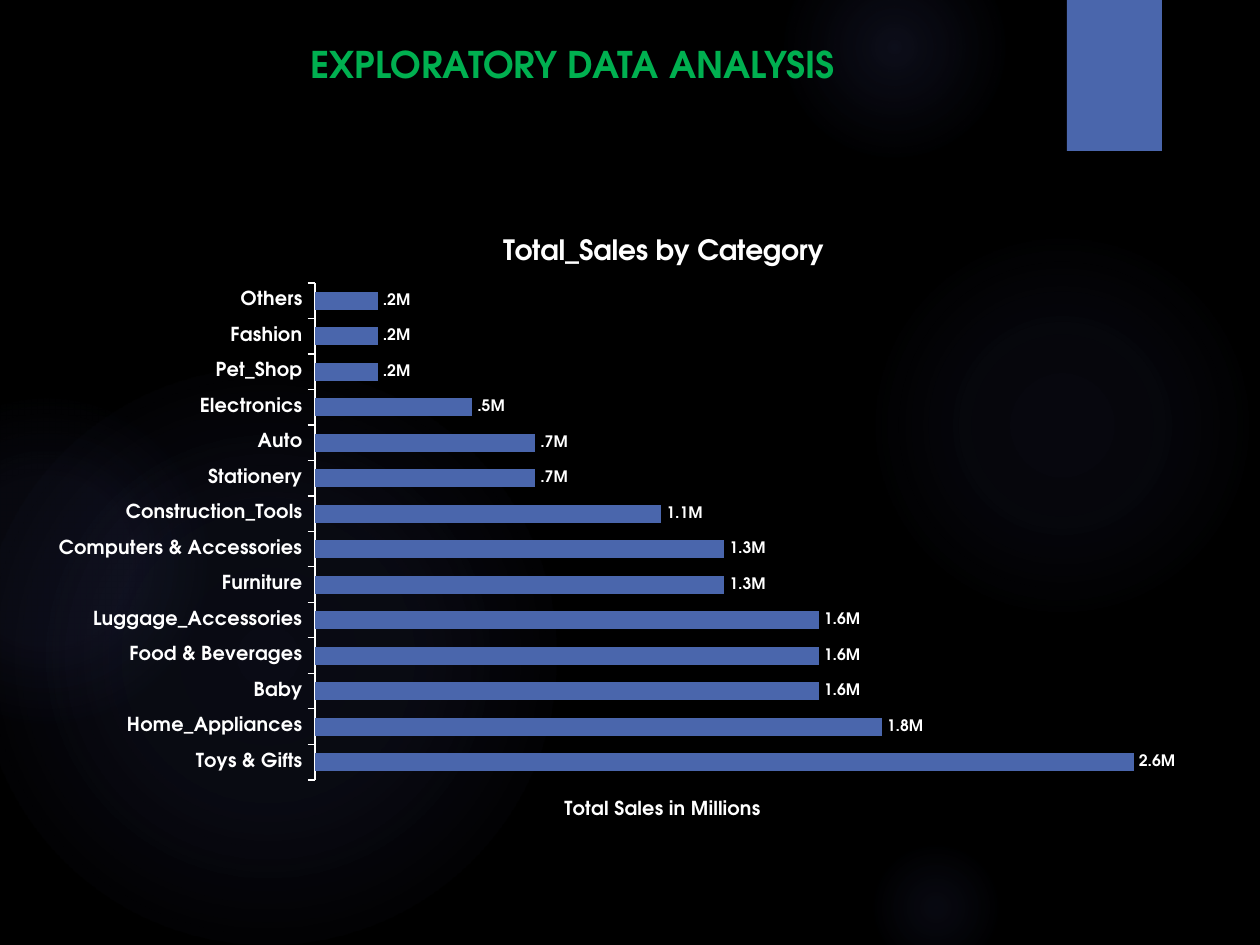
"""Build the Exploratory Data Analysis slide with its sales bar chart."""
from pptx import Presentation
from pptx.chart.data import CategoryChartData
from pptx.dml.color import RGBColor
from pptx.enum.chart import XL_CHART_TYPE, XL_LABEL_POSITION, XL_TICK_LABEL_POSITION, XL_TICK_MARK
from pptx.enum.shapes import MSO_SHAPE
from pptx.enum.text import MSO_ANCHOR, MSO_AUTO_SIZE, PP_ALIGN
from pptx.oxml import parse_xml
from pptx.oxml.ns import nsdecls, qn
from pptx.util import Emu, Pt

FONT = "TeX Gyre Adventor"
COLORS = {"bg": "000000", "glow": "5C64B7", "blue": "4A66AC", "green": "00B050", "white": "FFFFFF"}
RGB = {name: RGBColor.from_string(value) for name, value in COLORS.items()}
CHART_BOX = (34, 212, 1250, 634)


def px(*values):
    return [Emu(round(v * 914400 / 126)) for v in values]


def set_layout(parent, index, x, y, w=None, h=None):
    left, top, width, height = CHART_BOX
    for old in parent.findall(qn("c:layout")):
        parent.remove(old)
    target = '<c:layoutTarget val="inner"/>' if w else ""
    items = [("xMode", "edge"), ("yMode", "edge"),
             ("x", round((x - left) / width, 4)), ("y", round((y - top) / height, 4))]
    if w:
        items += [("w", round(w / width, 4)), ("h", round(h / height, 4))]
    body = "".join(f'<c:{tag} val="{value}"/>' for tag, value in items)
    parent.insert(index, parse_xml(
        f'<c:layout {nsdecls("c")}><c:manualLayout>{target}{body}</c:manualLayout></c:layout>'))


prs = Presentation()
prs.slide_width, prs.slide_height = px(1260, 945)
s = prs.slides.add_slide(prs.slide_layouts[6])
s.background.fill.solid()
s.background.fill.fore_color.rgb = RGB["bg"]

glows = [
    (868, 231, 388, 7, 6, 69),
    (784, -63, 221, 14, 7, 73),
    (868, 840, 136, 9, 5, 66),
    (-21, 368, 577, 11, 10, 75),
    (-116, 399, 325, 8, 8, 72),
]
for x, y, size, center, middle, edge in glows:
    sp = s.shapes.add_shape(MSO_SHAPE.OVAL, *px(x, y, size, size))
    sp.shadow.inherit = False
    sp.line.fill.background()
    sp.fill.background()
    stops = "".join(
        f'<a:gs pos="{pos * 1000}"><a:srgbClr val="{COLORS["glow"]}">'
        f'<a:alpha val="{alpha * 1000}"/></a:srgbClr></a:gs>'
        for pos, alpha in [(0, center), (36, middle), (edge, 0)])
    spPr = sp._element.spPr
    spPr.replace(spPr.find(qn("a:noFill")), parse_xml(
        f'<a:gradFill {nsdecls("a")}><a:gsLst>{stops}</a:gsLst><a:path path="circle">'
        '<a:fillToRect l="50000" t="50000" r="50000" b="50000"/></a:path></a:gradFill>'))

sp = s.shapes.add_shape(MSO_SHAPE.RECTANGLE, *px(1067, 0, 95, 151))
sp.fill.solid()
sp.fill.fore_color.rgb = RGB["blue"]
sp.line.fill.background()
sp.shadow.inherit = False
sp._element.spPr.find(qn("a:effectLst")).append(parse_xml(
    f'<a:outerShdw {nsdecls("a")} blurRad="{Pt(3)}" dist="{Pt(2)}" dir="5400000">'
    '<a:srgbClr val="000000"><a:alpha val="45000"/></a:srgbClr></a:outerShdw>'))

tf = s.shapes.add_textbox(*px(34, 35, 1077, 57)).text_frame
tf.word_wrap = True
tf.auto_size = MSO_AUTO_SIZE.SHAPE_TO_FIT_TEXT
tf.vertical_anchor = MSO_ANCHOR.MIDDLE
tf.text = "EXPLORATORY DATA ANALYSIS"
p = tf.paragraphs[0]
p.alignment = PP_ALIGN.CENTER
f = p.runs[0].font
f.name, f.size, f.bold, f.color.rgb = FONT, Pt(21), True, RGB["green"]

sales = {
    "Toys & Gifts": 2.6, "Home_Appliances": 1.8, "Baby": 1.6, "Food & Beverages": 1.6,
    "Luggage_Accessories": 1.6, "Furniture": 1.3, "Computers & Accessories": 1.3,
    "Construction_Tools": 1.1, "Stationery": 0.7, "Auto": 0.7, "Electronics": 0.5,
    "Pet_Shop": 0.2, "Fashion": 0.2, "Others": 0.2,
}
data = CategoryChartData()
data.categories = list(sales)
data.add_series("Series 1", [round(v * 1000000) for v in sales.values()])
chart = s.shapes.add_chart(XL_CHART_TYPE.BAR_CLUSTERED, *px(*CHART_BOX), data).chart
chart.has_legend = False
plot = chart.plots[0]
plot.gap_width, plot.overlap, plot.vary_by_categories = 96, 10, False
series = plot.series[0]
series.format.fill.solid()
series.format.fill.fore_color.rgb = RGB["blue"]
labels = series.data_labels
labels.show_value = True
labels.position = XL_LABEL_POSITION.OUTSIDE_END
labels.number_format = '#.#,,"M";\\-#.#,,"M"'
labels.number_format_is_linked = False

cat, val = chart.category_axis, chart.value_axis
cat.major_tick_mark = XL_TICK_MARK.OUTSIDE
cat.tick_label_position = XL_TICK_LABEL_POSITION.LOW
cat.format.line.color.rgb = RGB["white"]
cat.format.line.width = Pt(0.75)
val.minimum_scale, val.maximum_scale = 0, 3000000
val.has_major_gridlines = False
val.visible = False

chart.chart_title.text_frame.text = "Total_Sales by Category"
val.axis_title.text_frame.text = "Total Sales in Millions"
fonts = [
    (chart.font, 10, False),
    (cat.tick_labels.font, 11, True),
    (labels.font, 9, True),
    (chart.chart_title.text_frame.paragraphs[0].runs[0].font, 16, True),
    (val.axis_title.text_frame.paragraphs[0].runs[0].font, 11, True),
]
for f, size, bold in fonts:
    f.name, f.size, f.bold, f.color.rgb = FONT, Pt(size), bold, RGB["white"]

plot_area = chart._chartSpace.chart.plotArea
set_layout(plot_area, 0, 315, 283, 945, 497)
set_layout(chart.chart_title._element, 1, 498, 231)
set_layout(val.axis_title._element, 1, 561, 795)

prs.save("out.pptx")
